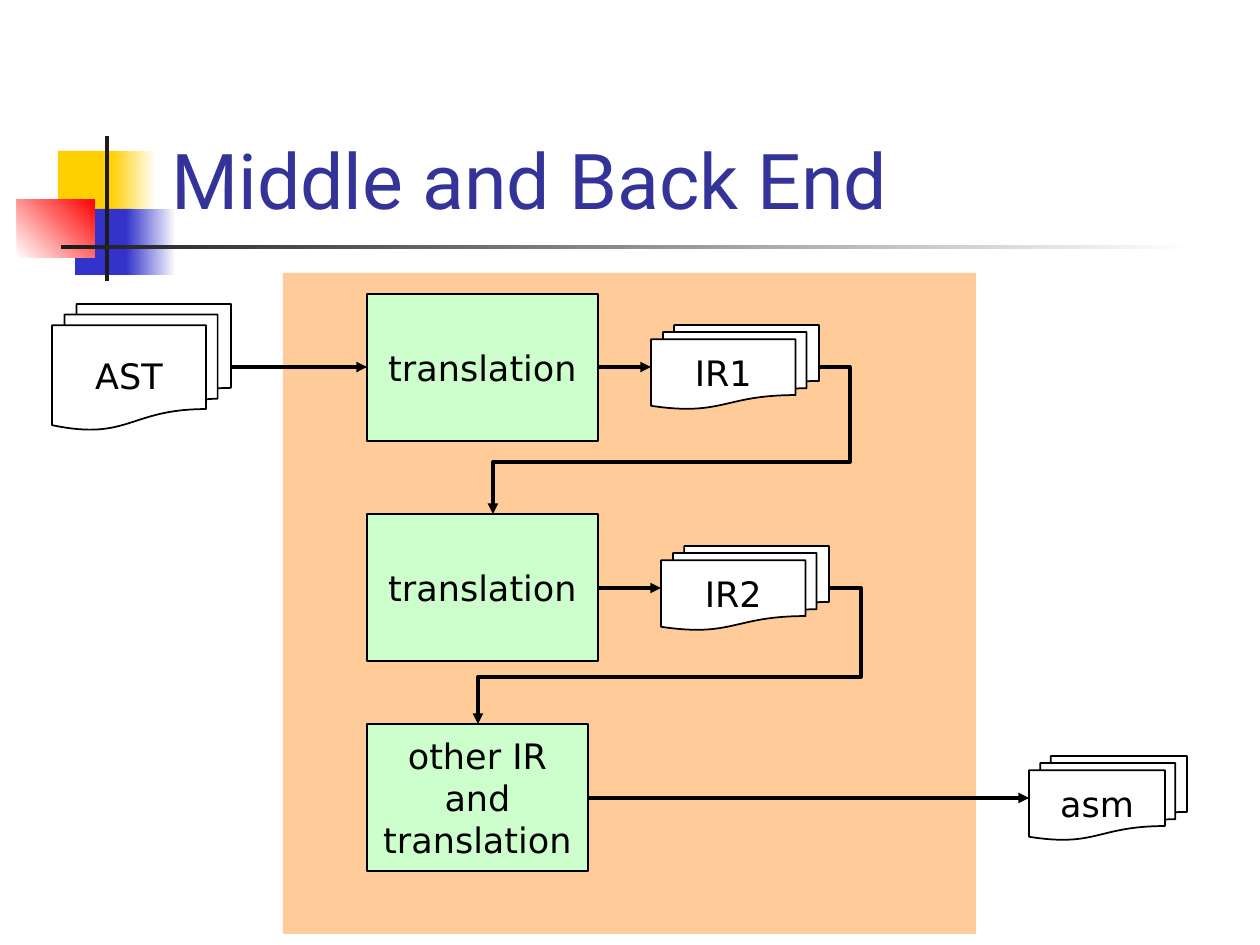
from lxml import etree
from pptx import Presentation
from pptx.dml.color import RGBColor
from pptx.enum.shapes import MSO_CONNECTOR as MC, MSO_SHAPE as MS
from pptx.enum.text import MSO_ANCHOR, PP_ALIGN
from pptx.oxml.ns import qn
from pptx.util import Pt

PX = 914400 / 126
BLACK = RGBColor(0x00, 0x00, 0x00)
WHITE = RGBColor(0xFF, 0xFF, 0xFF)
DARK = RGBColor(0x1C, 0x1C, 0x1C)
YELLOW = RGBColor(0xFF, 0xCF, 0x01)
BLUE = RGBColor(0x33, 0x33, 0xCC)
RED = RGBColor(0xFF, 0x00, 0x00)
NAVY = RGBColor(0x33, 0x33, 0x99)
ORANGE = RGBColor(0xFF, 0xCC, 0x99)
GREEN = RGBColor(0xCC, 0xFF, 0xCC)

prs = Presentation()
prs.slide_width, prs.slide_height = round(1260 * PX), round(945 * PX)
s = prs.slides.add_slide(prs.slide_layouts[6])


def add_box(kind, box, *colors, angle=0):
    """Add a borderless shape; two colours make a gradient."""
    sp = s.shapes.add_shape(kind, *[round(v * PX) for v in box])
    sp.shadow.inherit = False
    sp.line.fill.background()
    if len(colors) == 1:
        sp.fill.solid()
        sp.fill.fore_color.rgb = colors[0]
    else:
        sp.fill.gradient()
        sp.fill.gradient_angle = angle
        for stop, color, pos in zip(sp.fill.gradient_stops, colors, (0, 1)):
            stop.color.rgb = color
            stop.position = pos
    return sp


def add_arrow(kind, *ends):
    """Add a black connector with an arrowhead at its end."""
    cx = s.shapes.add_connector(kind, *[round(v * PX) for v in ends])
    cx.line.color.rgb = BLACK
    cx.line.width = Pt(2)
    etree.SubElement(cx.line._get_or_add_ln(), qn("a:tailEnd"), type="triangle")
    etree.SubElement(cx._element.spPr, qn("a:effectLst"))
    return cx


# Corner decoration and title rule
add_box(MS.RECTANGLE, (58, 151, 60, 66), YELLOW)
add_box(MS.RECTANGLE, (111, 151, 45, 66), YELLOW, WHITE)
add_box(MS.RECTANGLE, (75, 209, 58, 66), BLUE)
add_box(MS.RECTANGLE, (126, 209, 50, 66), BLUE, WHITE)
add_box(MS.RECTANGLE, (17, 199, 78, 59), WHITE, RED, angle=45)
add_box(MS.RECTANGLE, (105, 136, 4, 145), DARK)
add_box(MS.RECTANGLE, (61, 245, 1134, 4), DARK, WHITE)

# Title
tb = s.shapes.add_textbox(*[round(v * PX) for v in (159, 29, 1073, 202)])
tf = tb.text_frame
tf.word_wrap = True
tf.vertical_anchor = MSO_ANCHOR.BOTTOM
tf.text = "Middle and Back End"
font = tf.paragraphs[0].runs[0].font
font.name, font.size, font.color.rgb = "Roboto", Pt(44), NAVY

# Background of the compiler stages
add_box(MS.RECTANGLE, (283, 273, 693, 661), ORANGE)

# Stages and the documents they pass on
STAGE, DOCS = MS.FLOWCHART_PROCESS, MS.FLOWCHART_MULTIDOCUMENT
for kind, text, box, color in [
    (DOCS, "AST", (52, 304, 179, 126), WHITE),
    (STAGE, "translation", (367, 294, 231, 147), GREEN),
    (DOCS, "IR1", (651, 325, 168, 84), WHITE),
    (STAGE, "translation", (367, 514, 231, 147), GREEN),
    (DOCS, "IR2", (661, 546, 168, 84), WHITE),
    (STAGE, "other IR and translation", (367, 724, 221, 147), GREEN),
    (DOCS, "asm", (1029, 756, 158, 84), WHITE),
]:
    sp = add_box(kind, box, color)
    sp.line.color.rgb = BLACK
    sp.line.width = Pt(1)
    tf = sp.text_frame
    tf.word_wrap = True
    tf.vertical_anchor = MSO_ANCHOR.MIDDLE
    tf.text = text
    p = tf.paragraphs[0]
    p.alignment = PP_ALIGN.CENTER
    font = p.runs[0].font
    font.name, font.size, font.color.rgb = "DejaVu Sans", Pt(20), BLACK

# Straight arrows
for x1, x2, y in [(231, 367, 367), (598, 651, 367), (598, 661, 588), (588, 1029, 798)]:
    add_arrow(MC.STRAIGHT, x1, y, x2, y)

# Arrows that turn back to the next stage: out to turn_x, down to turn_y
for x1, y1, x2, y2, turn_x, turn_y in [
    (819, 367, 493, 514, 850, 462),
    (829, 588, 478, 724, 861, 677),
]:
    cx = add_arrow(MC.ELBOW, x1, y1, x2, y2)
    geom = cx._element.spPr.find(qn("a:prstGeom"))
    geom.set("prst", "bentConnector4")
    guides = geom.find(qn("a:avLst"))
    ratios = (turn_x - x1) / (x2 - x1), (turn_y - y1) / (y2 - y1)
    for n, ratio in enumerate(ratios, 1):
        etree.SubElement(guides, qn("a:gd"), name=f"adj{n}", fmla=f"val {round(ratio * 100000)}")

prs.save("out.pptx")
